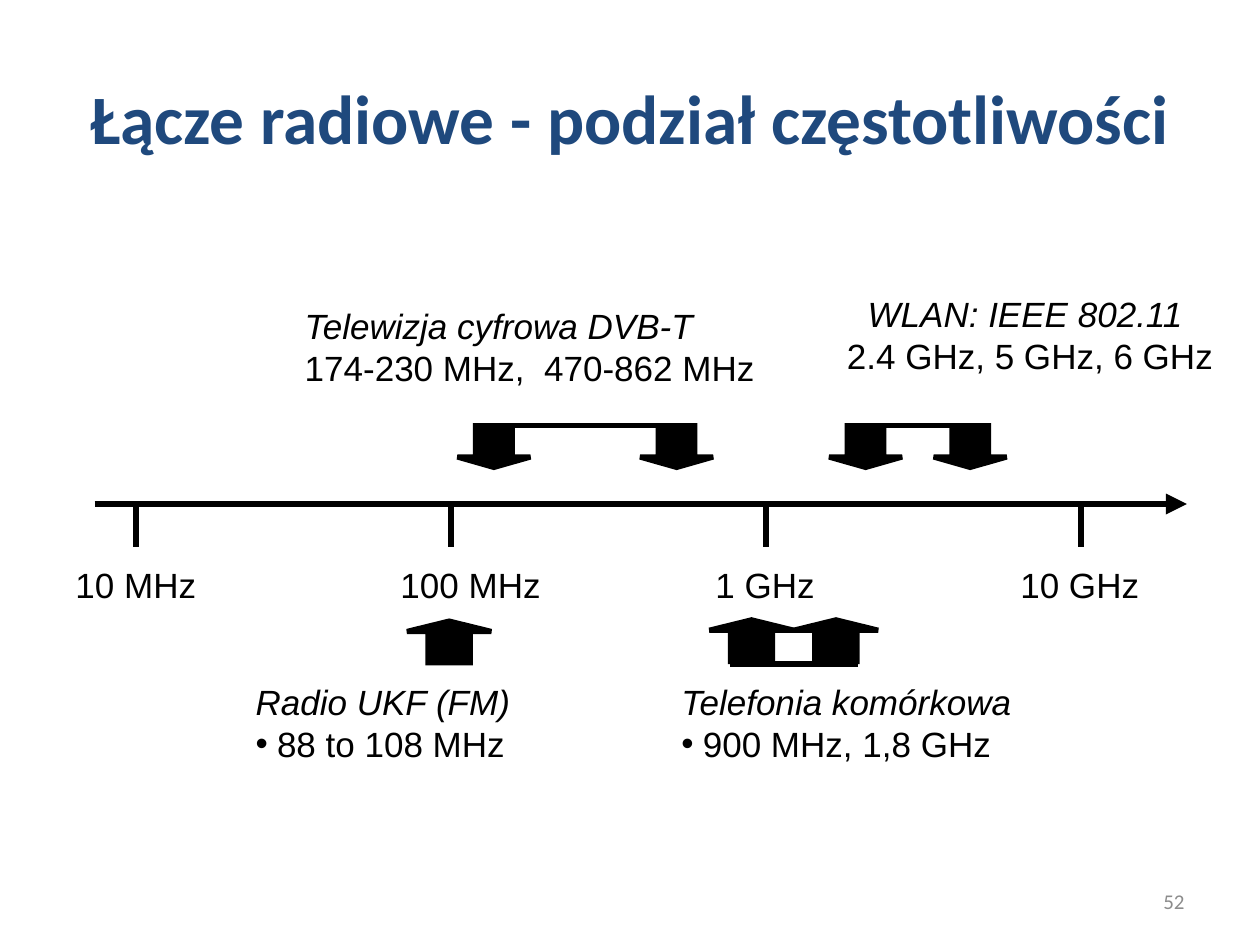
from lxml.etree import SubElement
from pptx import Presentation
from pptx.dml.color import RGBColor
from pptx.enum.shapes import MSO_CONNECTOR, MSO_SHAPE
from pptx.enum.text import MSO_ANCHOR, MSO_AUTO_SIZE, PP_ALIGN
from pptx.oxml.ns import qn
from pptx.util import Inches, Pt

COLORS = {"title": "1F497D", "ink": "000000", "number": "8C8C8C"}


def color(name):
    return RGBColor.from_string(COLORS[name])


def add_bullet(para, indent=0.17):
    properties = para._p.get_or_add_pPr()
    properties.set("marL", str(Inches(indent)))
    properties.set("indent", str(-Inches(indent)))
    SubElement(properties, qn("a:buFont"), typeface="Arial")
    SubElement(properties, qn("a:buChar"), char="•")


def write(para, text, size=20, font="Arial", ink="ink", bold=False, italic=False):
    """Add one formatted span to a paragraph."""
    span = para.add_run()
    span.text = text
    span.font.name = font
    span.font.size = Pt(size)
    span.font.bold = bold
    span.font.italic = italic
    span.font.color.rgb = color(ink)


class SpectrumSlide:
    def __init__(self, page, line_width=3):
        self.page = page
        self.line_width = line_width

    def box(self, left, top, width, height, wrap=True, middle=False):
        box = self.page.shapes.add_textbox(
            Inches(left), Inches(top), Inches(width), Inches(height))
        frame = box.text_frame
        frame.word_wrap = wrap
        if middle:
            frame.vertical_anchor = MSO_ANCHOR.MIDDLE
        else:
            frame.auto_size = MSO_AUTO_SIZE.SHAPE_TO_FIT_TEXT
        return frame

    def label(self, text, *place, align=PP_ALIGN.LEFT, wrap=True, middle=False, **style):
        para = self.box(*place, wrap=wrap, middle=middle).paragraphs[0]
        para.alignment = align
        write(para, text, **style)

    def band(self, name, values, *place, align=PP_ALIGN.LEFT):
        """Name and frequencies on two lines of one paragraph."""
        para = self.box(*place).paragraphs[0]
        para.alignment = align
        write(para, name, italic=True)
        para.add_line_break()
        write(para, values)

    def bulleted_band(self, name, values, *place):
        """Name with the frequencies as a bullet below."""
        frame = self.box(*place, wrap=False)
        write(frame.paragraphs[0], name, italic=True)
        para = frame.add_paragraph()
        add_bullet(para)
        write(para, values)

    def line(self, x1, y1, x2, y2, width=None, arrow=False):
        line = self.page.shapes.add_connector(
            MSO_CONNECTOR.STRAIGHT, Inches(x1), Inches(y1), Inches(x2), Inches(y2))
        line.line.color.rgb = color("ink")
        line.line.width = Pt(width or self.line_width)
        if arrow:
            SubElement(line.line._get_or_add_ln(), qn("a:tailEnd"), type="triangle")
        SubElement(line._element.spPr, qn("a:effectLst"))

    def arrow(self, kind, left, top, width, height=0.33):
        arrow = self.page.shapes.add_shape(
            kind, Inches(left), Inches(top), Inches(width), Inches(height))
        arrow.adjustments[0] = 0.5
        arrow.adjustments[1] = 0.25
        arrow.shadow.inherit = False
        arrow.fill.solid()
        arrow.fill.fore_color.rgb = color("ink")
        arrow.line.color.rgb = color("ink")
        arrow.line.width = Pt(self.line_width)
        SubElement(arrow.line._get_or_add_ln(), qn("a:miter"), lim="800000")


def main():
    deck = Presentation()
    deck.slide_width, deck.slide_height = Inches(10), Inches(7.5)
    slide = SpectrumSlide(deck.slides.add_slide(deck.slide_layouts[6]))

    # Title
    slide.label("Łącze radiowe - podział częstotliwości", 0.5, 0.3, 9, 1.25,
                align=PP_ALIGN.CENTER, middle=True,
                size=39.6, font="Calibri", ink="title", bold=True)

    # Logarithmic frequency axis: one decade every 2.5 inches
    axis_y = 4
    slide.line(0.75, axis_y, 9.42, axis_y, width=4, arrow=True)
    decades = [("10 MHz", 0.5, 1.18), ("100 MHz", 3.08, 1.33),
               ("1 GHz", 5.58, 1.01), ("10 GHz", 8, 1.16)]
    for index, (text, left, width) in enumerate(decades):
        tick_x = 1.08 + 2.5 * index
        slide.line(tick_x, axis_y, tick_x, axis_y + 0.34)
        slide.label(text, left, 4.42, width, 0.43, wrap=False)

    # Bands above the axis
    for left in (3.63, 5.08, 6.58, 7.41):
        slide.arrow(MSO_SHAPE.DOWN_ARROW, left, 3.38, 0.58)
    for start, end in ((3.9, 5.47), (6.73, 7.84)):
        slide.line(start, 3.38, end, 3.38)
    slide.band("Telewizja cyfrowa DVB-T ", "174-230 MHz,  470-862 MHz",
               2.32, 2.37, 3.93, 0.77)
    slide.band("WLAN: IEEE 802.11 ", "2.4 GHz, 5 GHz, 6 GHz",
               6.5, 2.27, 3.35, 0.77, align=PP_ALIGN.CENTER)

    # Bands below the axis
    for left, top in ((3.23, 4.93), (5.63, 4.92), (6.3, 4.92)):
        slide.arrow(MSO_SHAPE.UP_ARROW, left, top, 0.67)
    slide.line(5.79, 5.27, 6.81, 5.27)
    slide.bulleted_band("Radio UKF (FM)", "88 to 108 MHz", 1.93, 5.35, 2.22, 0.77)
    slide.bulleted_band("Telefonia komórkowa", "900 MHz, 1,8 GHz", 5.31, 5.35, 2.84, 0.77)

    # Slide number
    slide.label("52", 7.17, 6.95, 2.33, 0.4, align=PP_ALIGN.RIGHT, middle=True,
                size=12, font="Calibri", ink="number")

    deck.save("out.pptx")


if __name__ == "__main__":
    main()
